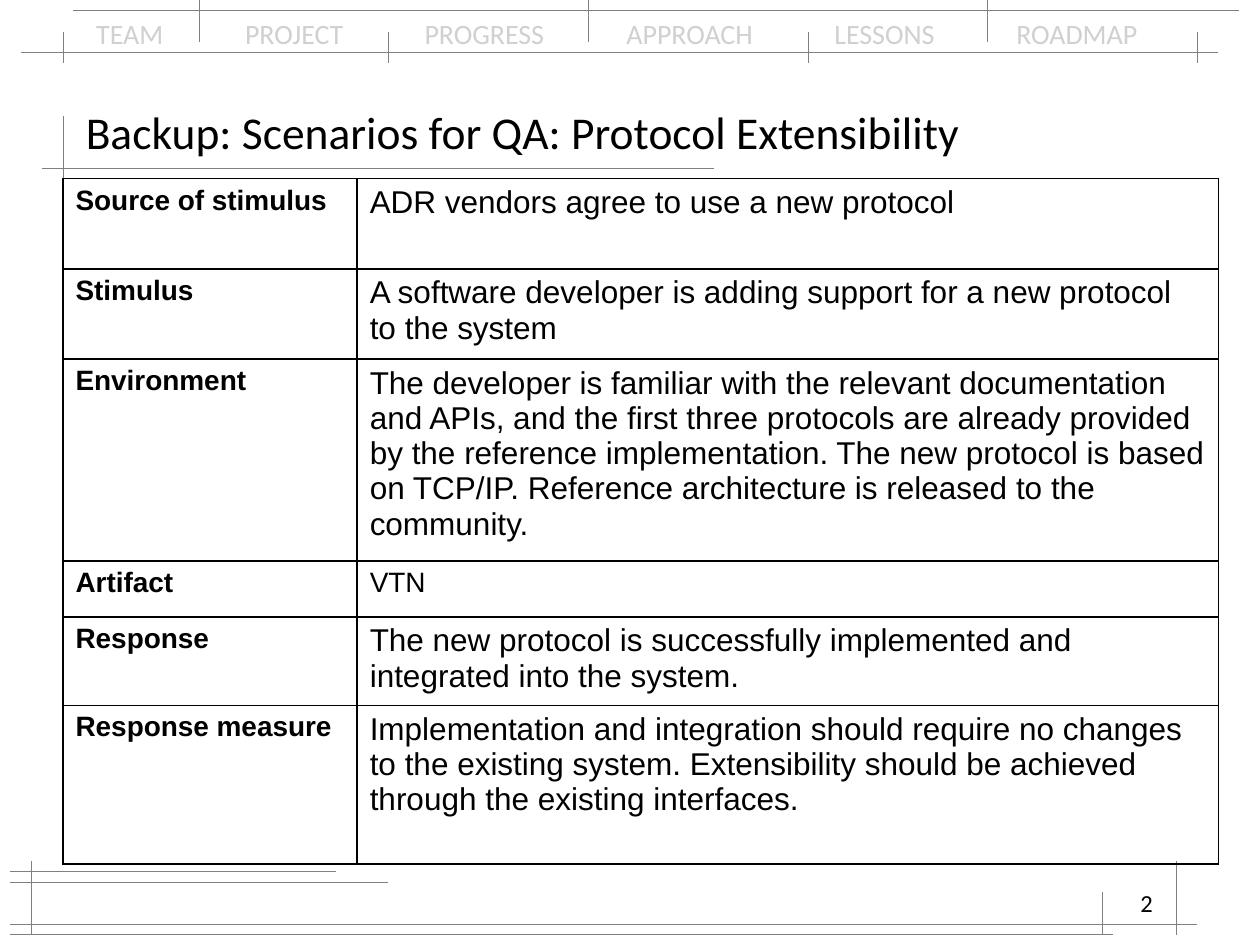
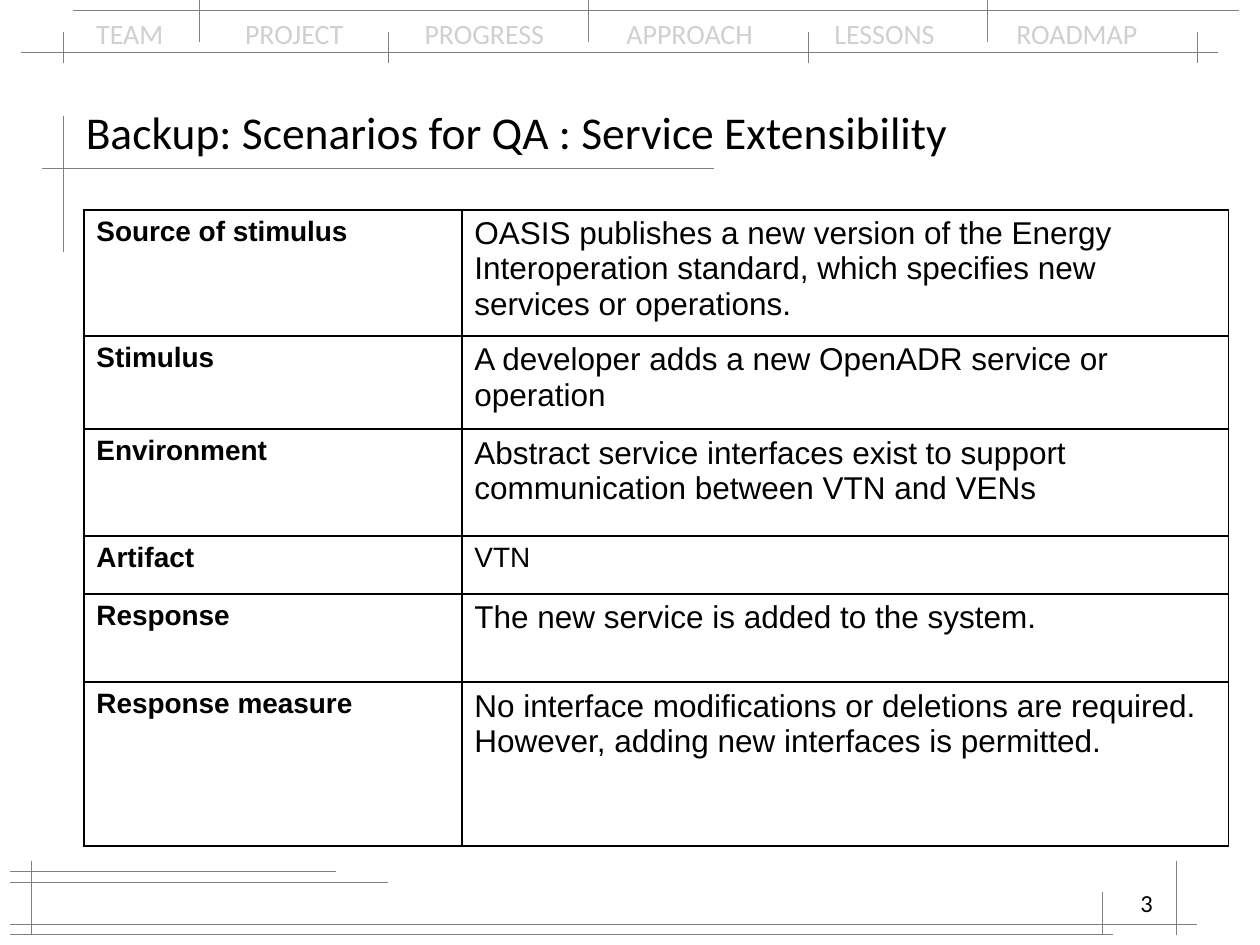
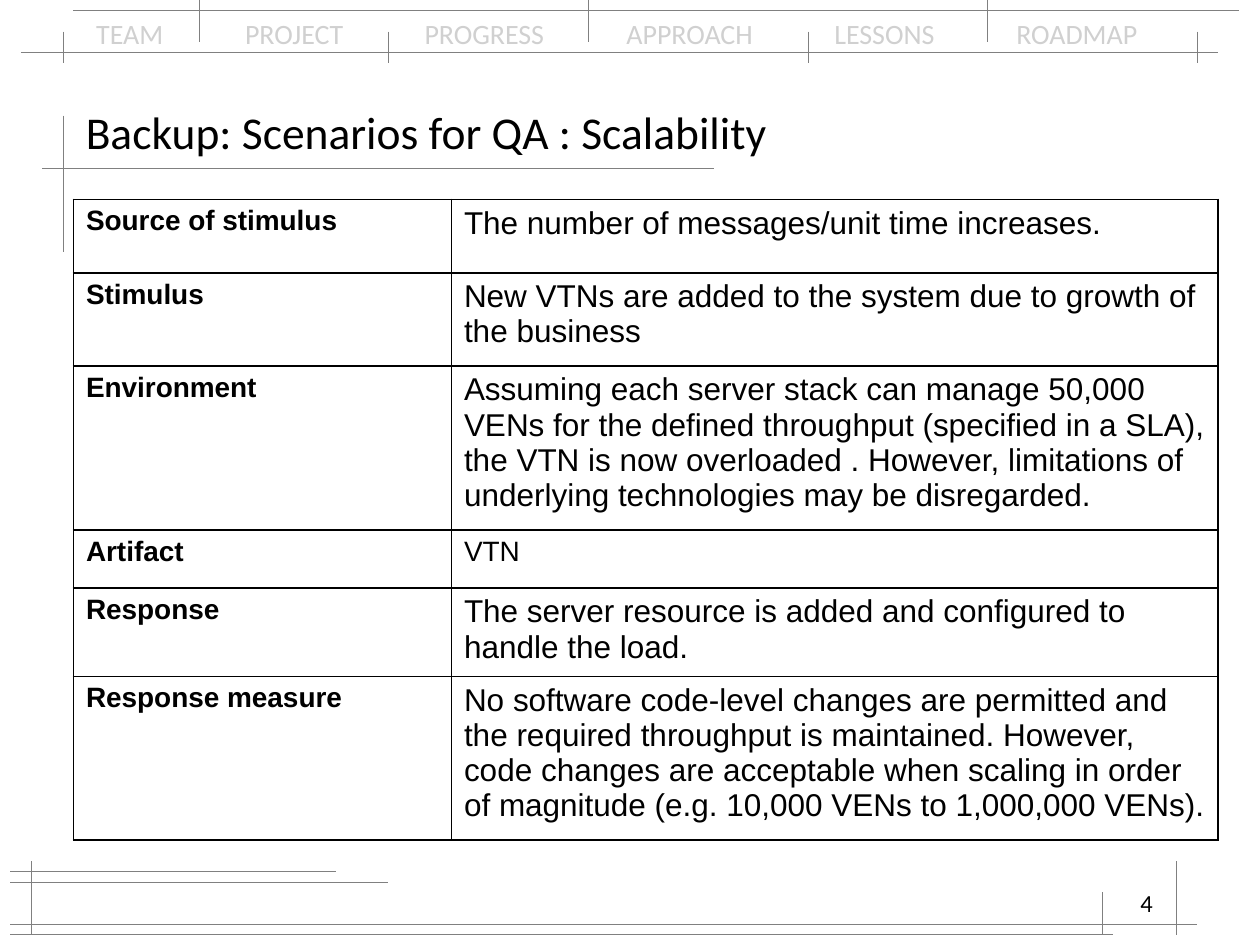
from dataclasses import dataclass

from lxml import etree
from pptx import Presentation
from pptx.dml.color import RGBColor
from pptx.enum.shapes import MSO_CONNECTOR
from pptx.enum.text import MSO_ANCHOR, PP_ALIGN
from pptx.oxml.ns import qn
from pptx.util import Cm, Pt

STRAIGHT = MSO_CONNECTOR.STRAIGHT
TOP, MIDDLE = MSO_ANCHOR.TOP, MSO_ANCHOR.MIDDLE
LEFT, RIGHT = PP_ALIGN.LEFT, PP_ALIGN.RIGHT

BLACK = RGBColor(0x00, 0x00, 0x00)
LINE_GREY = RGBColor(0x80, 0x80, 0x80)
NAV_GREY = RGBColor(0xD0, 0xD0, 0xD0)

HEADING_FONT = "Calibri"
TABLE_FONT = "Arial"
BLANK_LAYOUT = 6

SECTIONS = ("TEAM", "PROJECT", "PROGRESS", "APPROACH", "LESSONS", "ROADMAP")
SECTION_STOPS = (3.0, 6.62, 10.69, 14.88, 18.55)
ROW_LABELS = ("Source of stimulus", "Stimulus", "Environment",
              "Artifact", "Response", "Response measure")
SHORT_ANSWER_ROW = ROW_LABELS.index("Artifact")

# All lengths below are centimetres.
HORIZONTAL_RULES = (  # y, from x, to x
    (1.06, 0.42, 24.55), (0.21, 1.48, 24.98), (3.39, 0.85, 14.39),
    (17.78, 0.21, 7.83), (18.63, 0.21, 24.13),
    (17.57, 0.21, 6.77), (18.84, 0.21, 22.44),
)
VERTICAL_RULES = (  # x, from y, to y
    (1.27, 2.33, 5.08), (0.64, 17.36, 18.84),
    (23.71, 17.36, 18.84), (22.23, 17.99, 18.84),
    *((x, 0.64, 1.27) for x in (1.27, 7.83, 16.3, 24.13)),
    *((x, 0, 0.85) for x in (4.02, 11.85, 19.9)),
)


@dataclass(frozen=True)
class TextStyle:
    size: int
    colour: RGBColor = BLACK
    font: str = HEADING_FONT
    bold: bool = False


@dataclass(frozen=True)
class Frame:
    left: float
    top: float
    width: float
    height: float


@dataclass(frozen=True)
class Scenario:
    title: str
    left: float
    top: float
    columns: tuple[float, float]
    rows: tuple[float, ...]
    answers: tuple[str, ...]


NAV_STYLE = TextStyle(16, NAV_GREY)
TITLE_STYLE = TextStyle(26)
NUMBER_STYLE = TextStyle(14)
LABEL_STYLE = TextStyle(16, font=TABLE_FONT, bold=True)
ANSWER_STYLE = TextStyle(18, font=TABLE_FONT)
SHORT_ANSWER_STYLE = TextStyle(16, font=TABLE_FONT)

NAV_FRAME = Frame(1.69, 0.21, 22.01, 0.94)
TITLE_FRAME = Frame(1.48, 1.9, 22.44, 1.48)
NUMBER_FRAME = Frame(18.2, 17.78, 5.29, 1.27)

FIRST_NUMBER = 2
SCENARIOS = (
    Scenario(
        "Backup: Scenarios for QA: Protocol Extensibility",
        1.27, 3.6, (5.93, 17.36), (1.82, 1.82, 4.07, 1.13, 1.78, 3.2),
        (
            "ADR vendors agree to use a new protocol",
            "A software developer is adding support for a new protocol to the system",
            "The developer is familiar with the relevant documentation and APIs, and the "
            "first three protocols are already provided by the reference implementation. "
            "The new protocol is based on TCP/IP. Reference architecture is released to "
            "the community.",
            "VTN",
            "The new protocol is successfully implemented and integrated into the system.",
            "Implementation and integration should require no changes to the existing "
            "system. Extensibility should be achieved through the existing interfaces.",
        ),
    ),
    Scenario(
        "Backup: Scenarios for QA : Service Extensibility",
        1.69, 4.23, (7.62, 15.45), (2.54, 1.88, 2.15, 1.17, 1.78, 3.3),
        (
            "OASIS publishes a new version of the Energy Interoperation standard, which "
            "specifies new services or operations.",
            "A developer adds a new OpenADR service or operation",
            "Abstract service interfaces exist to support communication between VTN and VENs",
            "VTN",
            "The new service is added to the system.",
            "No interface modifications or deletions are required. However, adding new "
            "interfaces is permitted.",
        ),
    ),
    Scenario(
        "Backup: Scenarios for QA : Scalability",
        1.48, 4.02, (7.62, 15.45), (1.48, 1.88, 3.3, 1.17, 1.78, 3.3),
        (
            "The number of messages/unit time increases.",
            "New VTNs are added to the system due to growth of the business",
            "Assuming each server stack can manage 50,000 VENs for the defined throughput "
            "(specified in a SLA), the VTN is now overloaded . However, limitations of "
            "underlying technologies may be disregarded.",
            "VTN",
            "The server resource is added and configured to handle the load.",
            "No software code-level changes are permitted and the required throughput is "
            "maintained. However, code changes are acceptable when scaling in order of "
            "magnitude (e.g. 10,000 VENs to 1,000,000 VENs).",
        ),
    ),
)


def style_runs(para, style: TextStyle) -> None:
    for span in para.runs:
        span.font.name = style.font
        span.font.size = Pt(style.size)
        span.font.bold = style.bold
        span.font.color.rgb = style.colour


def add_text(page, frame: Frame, text: str, style: TextStyle, align=LEFT, anchor=TOP):
    """Add a one-paragraph text box and return its paragraph."""
    box = page.shapes.add_textbox(
        Cm(frame.left), Cm(frame.top), Cm(frame.width), Cm(frame.height))
    box.text_frame.word_wrap = True
    box.text_frame.vertical_anchor = anchor
    para = box.text_frame.paragraphs[0]
    para.text = text
    para.alignment = align
    style_runs(para, style)
    return para


def add_rule(page, x1: float, y1: float, x2: float, y2: float) -> None:
    rule = page.shapes.add_connector(STRAIGHT, Cm(x1), Cm(y1), Cm(x2), Cm(y2))
    rule.line.color.rgb = LINE_GREY
    rule.line.width = Pt(0.3)
    etree.SubElement(rule._element.spPr, qn("a:effectLst"))


def add_navigation(page) -> None:
    para = add_text(page, NAV_FRAME, "\t".join(SECTIONS), NAV_STYLE)
    stops = etree.SubElement(para._p.get_or_add_pPr(), qn("a:tabLst"))
    for stop in SECTION_STOPS:
        etree.SubElement(stops, qn("a:tab"), pos=str(int(Cm(stop))), algn="l")


def add_framework(page, title: str, number: int) -> None:
    """Draw what every slide shares: section bar, rules, title and number."""
    add_navigation(page)
    for y, start, end in HORIZONTAL_RULES:
        add_rule(page, start, y, end, y)
    for x, start, end in VERTICAL_RULES:
        add_rule(page, x, start, x, end)
    add_text(page, TITLE_FRAME, title, TITLE_STYLE, anchor=MIDDLE)
    add_text(page, NUMBER_FRAME, str(number), NUMBER_STYLE, align=RIGHT)


def add_borders(cell) -> None:
    properties = cell._tc.get_or_add_tcPr()
    for side in ("lnL", "lnR", "lnT", "lnB"):
        border = etree.SubElement(properties, qn(f"a:{side}"), w=str(int(Pt(1))))
        fill = etree.SubElement(border, qn("a:solidFill"))
        etree.SubElement(fill, qn("a:srgbClr"), val=str(BLACK))


def fill_cell(cell, text: str, style: TextStyle) -> None:
    add_borders(cell)
    cell.fill.background()
    cell.text_frame.text = text
    style_runs(cell.text_frame.paragraphs[0], style)


def add_scenario_table(page, scenario: Scenario) -> None:
    table = page.shapes.add_table(
        len(scenario.rows), len(scenario.columns),
        Cm(scenario.left), Cm(scenario.top),
        Cm(sum(scenario.columns)), Cm(sum(scenario.rows))).table
    table.first_row = False
    table.horz_banding = False
    for column, width in zip(table.columns, scenario.columns):
        column.width = Cm(width)
    for row, height in zip(table.rows, scenario.rows):
        row.height = Cm(height)
    for index, (label, answer) in enumerate(zip(ROW_LABELS, scenario.answers)):
        short = index == SHORT_ANSWER_ROW
        fill_cell(table.cell(index, 0), label, LABEL_STYLE)
        fill_cell(table.cell(index, 1), answer,
                  SHORT_ANSWER_STYLE if short else ANSWER_STYLE)


def main() -> None:
    deck = Presentation()
    deck.slide_width, deck.slide_height = Cm(25.4), Cm(19.05)
    for number, scenario in enumerate(SCENARIOS, FIRST_NUMBER):
        page = deck.slides.add_slide(deck.slide_layouts[BLANK_LAYOUT])
        add_framework(page, scenario.title, number)
        add_scenario_table(page, scenario)
    deck.save("out.pptx")


if __name__ == "__main__":
    main()
